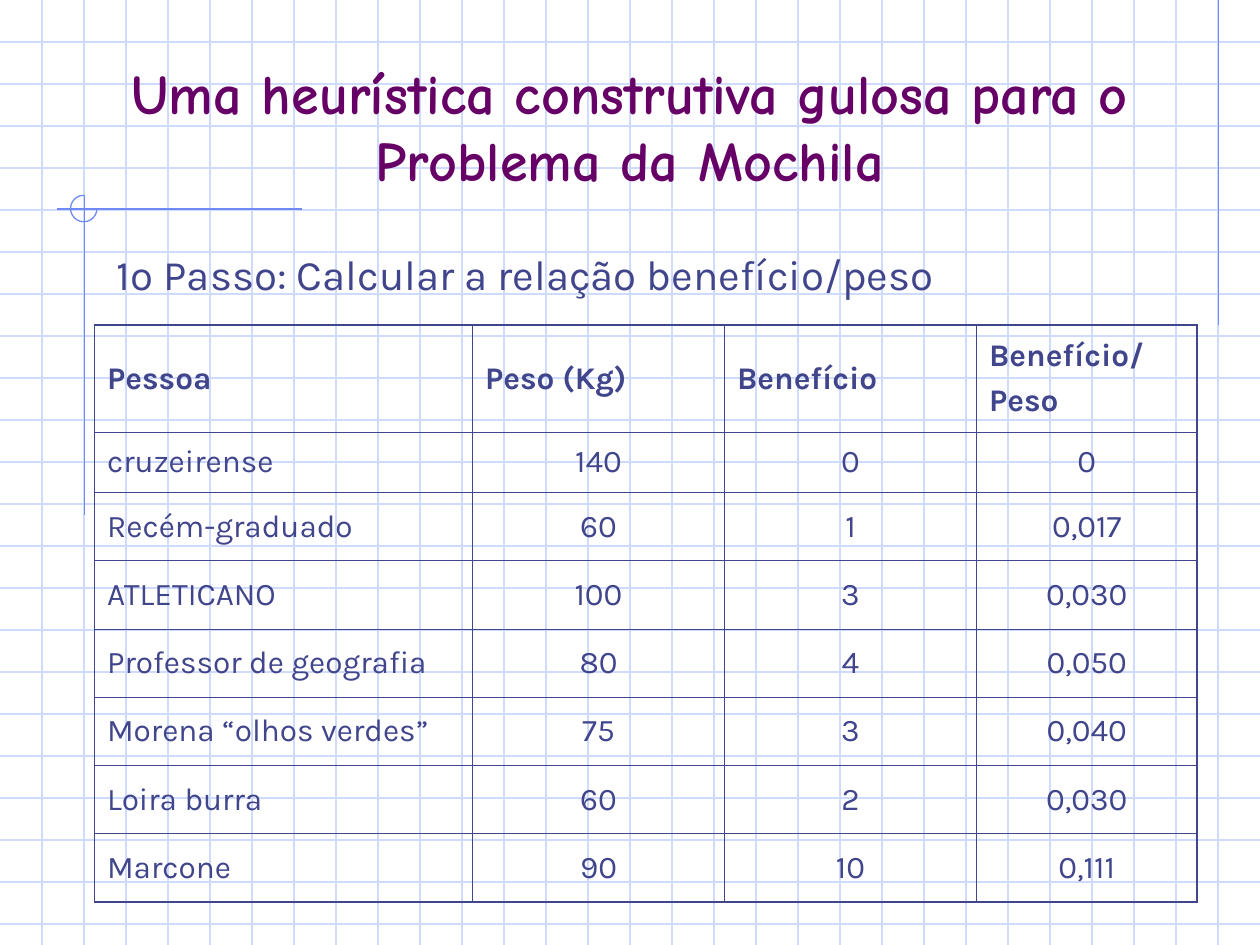
from dataclasses import dataclass

from lxml.etree import SubElement
from pptx import Presentation
from pptx.dml.color import RGBColor
from pptx.enum.shapes import MSO_CONNECTOR, MSO_SHAPE
from pptx.enum.text import MSO_ANCHOR, MSO_AUTO_SIZE, PP_ALIGN
from pptx.oxml.ns import qn
from pptx.util import Inches, Pt


@dataclass(frozen=True)
class Theme:
    grid: str = "CFDBFD"
    accent: str = "6F89F7"
    title: str = "660066"
    text: str = "40458C"
    title_font: str = "Comic Neue"
    body_font: str = "Karla"
    title_size: float = 32
    step_size: float = 24
    table_size: float = 18
    rule: float = 0.75
    inner_border: float = 0.45
    outer_border: float = 1.08


THEME = Theme()
WIDTH, HEIGHT = 10, 7.5
GRID_STEP = 1 / 3

TITLE = "Uma heurística construtiva gulosa para o Problema da Mochila"
STEP = "1º Passo: Calcular a relação benefício/peso"
ROWS = [
    ("Pessoa", "Peso (Kg)", "Benefício", "Benefício/\nPeso"),
    ("cruzeirense", "140", "0", "0"),
    ("Recém-graduado", "60", "1", "0,017"),
    ("ATLETICANO", "100", "3", "0,030"),
    ("Professor de geografia", "80", "4", "0,050"),
    ("Morena “olhos verdes”", "75", "3", "0,040"),
    ("Loira burra", "60", "2", "0,030"),
    ("Marcone", "90", "10", "0,111"),
]
COLUMN_WIDTHS = [3, 2, 2, 1.75]
TABLE_HEIGHT, HEADER_HEIGHT, FIRST_ROW_HEIGHT = 4.58, 0.85, 0.48


def place(shape, left, top, width, height):
    shape.left, shape.top = Inches(left), Inches(top)
    shape.width, shape.height = Inches(width), Inches(height)


def style_text(text_frame, font, size, color, bold=False, align=PP_ALIGN.LEFT):
    for index, paragraph in enumerate(text_frame.paragraphs):
        paragraph.alignment = align
        if index:
            paragraph.space_before = Pt(4.5)
        for run in paragraph.runs:
            run.font.name = font
            run.font.size = Pt(size)
            run.font.bold = bold
            run.font.color.rgb = RGBColor.from_string(color)


def add_line(group, start, end, color):
    points = [Inches(value) for value in (*start, *end)]
    line = group.shapes.add_connector(MSO_CONNECTOR.STRAIGHT, *points)
    line.line.color.rgb = RGBColor.from_string(color)
    line.line.width = Pt(THEME.rule)
    SubElement(line._element.spPr, qn("a:effectLst"))


def add_backdrop(slide):
    group = slide.shapes.add_group_shape()
    # Squared paper
    for row in range(1, int(HEIGHT / GRID_STEP) + 1):
        add_line(group, (0, row * GRID_STEP), (WIDTH, row * GRID_STEP), THEME.grid)
    for column in range(1, round(WIDTH / GRID_STEP)):
        add_line(group, (column * GRID_STEP, 0), (column * GRID_STEP, HEIGHT), THEME.grid)

    # Accent rules and the open circle at their crossing
    add_line(group, (9.67, 0), (9.67, 2.58), THEME.accent)
    add_line(group, (2.4, 1.66), (0.45, 1.66), THEME.accent)
    add_line(group, (0.67, 1.55), (0.67, 4.09), THEME.accent)
    arc = group.shapes.add_shape(MSO_SHAPE.ARC, 0, 0, 0, 0)
    place(arc, 0.56, 1.55, 0.21, 0.21)
    arc.adjustments[0] = 0
    arc.adjustments[1] = 270 * 0.6
    arc.shadow.inherit = False
    arc.fill.background()
    arc.line.color.rgb = RGBColor.from_string(THEME.accent)
    arc.line.width = Pt(THEME.rule)

    # Send behind the title
    slide.shapes._spTree.insert(2, group._element)


def add_title(slide):
    title = slide.shapes.title
    place(title, 0.75, 0.92, 8.5, 0.66)
    frame = title.text_frame
    frame.text = TITLE
    frame.word_wrap = True
    frame.auto_size = MSO_AUTO_SIZE.NONE
    frame.vertical_anchor = MSO_ANCHOR.BOTTOM
    style_text(frame, THEME.title_font, THEME.title_size, THEME.title, True, PP_ALIGN.CENTER)


def add_step(slide):
    box = slide.shapes.add_textbox(0, 0, 0, 0)
    place(box, 0.83, 1.92, 8.08, 0.5)
    box.text_frame.text = STEP
    box.text_frame.word_wrap = True
    style_text(box.text_frame, THEME.body_font, THEME.step_size, THEME.text)


def set_borders(cell, outer_sides):
    properties = cell._tc.get_or_add_tcPr()
    for side in "LRTB":
        width = THEME.outer_border if side in outer_sides else THEME.inner_border
        border = SubElement(properties, qn(f"a:ln{side}"), w=str(int(Pt(width))))
        fill = SubElement(border, qn("a:solidFill"))
        SubElement(fill, qn("a:srgbClr"), val=THEME.text)


def add_benefit_table(slide):
    last_row, last_column = len(ROWS) - 1, len(COLUMN_WIDTHS) - 1
    frame = slide.shapes.add_table(
        len(ROWS), len(COLUMN_WIDTHS), Inches(0.75), Inches(2.58),
        Inches(sum(COLUMN_WIDTHS)), Inches(TABLE_HEIGHT))
    table = frame.table
    table.first_row = table.horz_banding = False
    for column, width in zip(table.columns, COLUMN_WIDTHS):
        column.width = Inches(width)
    other_height = (TABLE_HEIGHT - HEADER_HEIGHT - FIRST_ROW_HEIGHT) / (last_row - 1)
    heights = [HEADER_HEIGHT, FIRST_ROW_HEIGHT] + [other_height] * (last_row - 1)

    for r, (values, height) in enumerate(zip(ROWS, heights)):
        table.rows[r].height = Inches(height)
        for c, value in enumerate(values):
            cell = table.cell(r, c)
            cell.text_frame.text = value
            cell.vertical_anchor = MSO_ANCHOR.MIDDLE
            edges = {"L": c == 0, "R": c == last_column, "T": r == 0, "B": r == last_row}
            set_borders(cell, [side for side, outer in edges.items() if outer])
            cell.fill.background()
            align = PP_ALIGN.CENTER if r and c else PP_ALIGN.LEFT
            style_text(cell.text_frame, THEME.body_font, THEME.table_size,
                       THEME.text, r == 0, align)


def main():
    presentation = Presentation()
    presentation.slide_width = Inches(WIDTH)
    presentation.slide_height = Inches(HEIGHT)
    slide = presentation.slides.add_slide(presentation.slide_layouts[5])
    add_backdrop(slide)
    add_title(slide)
    add_benefit_table(slide)
    add_step(slide)
    presentation.save("out.pptx")


if __name__ == "__main__":
    main()
